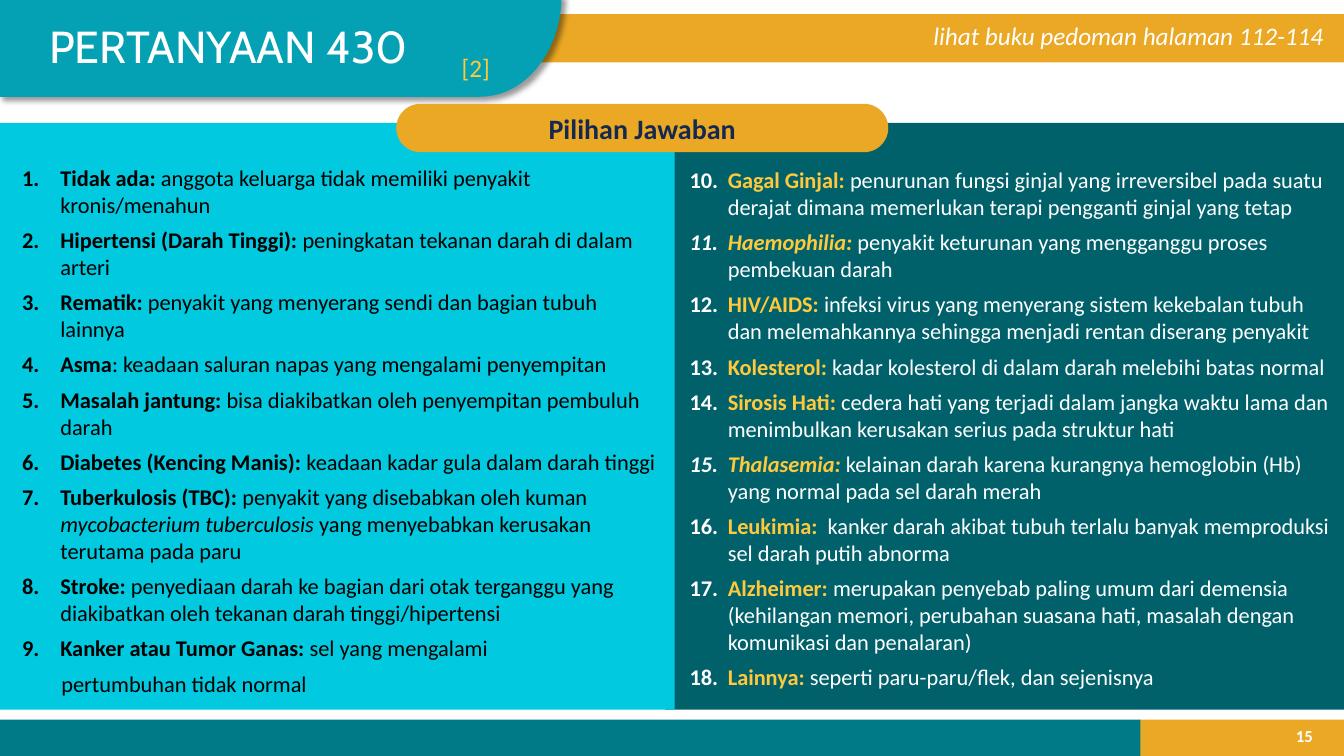
from lxml.etree import SubElement
from pptx import Presentation
from pptx.dml.color import RGBColor
from pptx.enum.shapes import MSO_SHAPE as Preset
from pptx.enum.text import MSO_ANCHOR as Anchor, PP_ALIGN as Align
from pptx.oxml.ns import qn
from pptx.util import Pt

PX = 9144
WIDTH, HEIGHT = 1333, 750
GOLD, YELLOW, WHITE, BLACK = "EAA824", "FFC93C", "FFFFFF", "000000"

LEFT_ANSWERS = [
    [("Tidak ada: ", "b"), ("anggota keluarga tidak memiliki penyakit kronis/menahun", "")],
    [("Hipertensi (Darah Tinggi): ", "b"), ("peningkatan tekanan darah di dalam arteri", "")],
    [("Rematik:", "b"), (" penyakit yang menyerang sendi dan bagian tubuh lainnya", "")],
    [("Asma", "b"), (": keadaan saluran napas yang mengalami penyempitan", "")],
    [("Masalah jantung: ", "b"), ("bisa diakibatkan oleh penyempitan pembuluh darah", "")],
    [("Diabetes (Kencing Manis): ", "b"), ("keadaan kadar gula dalam darah tinggi", "")],
    [("Tuberkulosis (TBC): ", "b"), ("penyakit yang disebabkan oleh kuman ", ""),
     ("mycobacterium tuberculosis", "i"),
     (" yang menyebabkan kerusakan terutama pada paru", "")],
    [("Stroke: ", "b"), ("penyediaan darah ke bagian dari otak terganggu yang "
                         "diakibatkan oleh tekanan darah tinggi/hipertensi", "")],
    [("Kanker atau Tumor Ganas: ", "b"), ("sel yang mengalami", "")],
    [("pertumbuhan tidak normal", "")],
]
RIGHT_ANSWERS = [
    [("Gagal Ginjal: ", "b"), ("penurunan fungsi ginjal yang irreversibel pada suatu "
                               "derajat dimana memerlukan terapi pengganti ginjal yang tetap", "")],
    [("Haemophilia: ", "bi"), ("penyakit keturunan yang mengganggu proses pembekuan darah", "")],
    [("HIV/AIDS: ", "b"), ("infeksi virus yang menyerang sistem kekebalan tubuh dan "
                           "melemahkannya sehingga menjadi rentan diserang penyakit", "")],
    [("Kolesterol: ", "b"), ("kadar kolesterol di dalam darah melebihi batas normal", "")],
    [("Sirosis Hati: ", "b"), ("cedera hati yang terjadi dalam jangka waktu lama dan "
                               "menimbulkan kerusakan serius pada struktur hati", "")],
    [("Thalasemia: ", "bi"), ("kelainan darah karena kurangnya hemoglobin (Hb) yang "
                              "normal pada sel darah merah", "")],
    [("Leukimia:  ", "b"), ("kanker darah akibat tubuh terlalu banyak memproduksi "
                            "sel darah putih abnorma", "")],
    [("Alzheimer: ", "b"), ("merupakan penyebab paling umum dari demensia (kehilangan memori, "
                            "perubahan suasana hati, masalah dengan komunikasi dan penalaran)", "")],
    [("Lainnya: ", "b"), ("seperti paru-paru/flek, dan sejenisnya", "")],
]


def emu(*lengths):
    """Turn px lengths into EMU."""
    return [round(length * PX) for length in lengths]


def paint(target, color):
    """Give a fill or a font colour a solid hex colour."""
    if hasattr(target, "solid"):
        target.solid()
        target = target.fore_color
    else:
        target = target.color
    target.rgb = RGBColor.from_string(color)


def style(font, size, color, marks="", name="Calibri"):
    """Set a font, with marks b for bold and i for italic."""
    font.name, font.size = name, Pt(size)
    font.bold, font.italic = "b" in marks, "i" in marks
    paint(font, color)


def block(slide, box, color, preset=Preset.RECTANGLE):
    """Add a plain filled shape."""
    shape = slide.shapes.add_shape(preset, *emu(*box))
    shape.shadow.inherit = False
    paint(shape.fill, color)
    shape.line.fill.background()
    return shape


def label(slide, box, text, size, color, marks="", name="Calibri", wrap=True):
    """Add a one-line text box and return its frame."""
    frame = slide.shapes.add_textbox(*emu(*box)).text_frame
    frame.word_wrap = wrap
    frame.text = text
    style(frame.paragraphs[0].runs[0].font, size, color, marks, name)
    return frame


def title_tab(slide, box):
    """Draw the shadowed tab with its rounded lower right corner."""
    left, top, width, height = box
    right, bottom = left + width, top + height
    curve = [(right, top), (right, top + 56), (right - 36, bottom), (right - 81, bottom)]
    steps = 32
    corner = []
    for step in range(steps + 1):
        t = step / steps
        weights = ((1 - t) ** 3, 3 * t * (1 - t) ** 2, 3 * t * t * (1 - t), t ** 3)
        corner.append(emu(*(sum(w * point[axis] for w, point in zip(weights, curve))
                            for axis in (0, 1))))
    builder = slide.shapes.build_freeform(*emu(left, top))
    builder.add_line_segments(corner + [emu(left, bottom)], close=True)
    tab = builder.convert_to_shape()
    tab.shadow.inherit = False
    paint(tab.fill, "03A1B3")
    tab.line.fill.background()
    effects = tab.element.spPr.find(qn("a:effectLst"))
    shadow = SubElement(effects, qn("a:outerShdw"), blurRad=str(Pt(4)), dist=str(Pt(3)),
                        dir="2700000", algn="tl", rotWithShape="0")
    shade = SubElement(shadow, qn("a:srgbClr"), val=BLACK)
    SubElement(shade, qn("a:alpha"), val="40000")


def header(slide, box):
    """Place the gold band, the title tab and their texts."""
    left, top, width, height = box
    block(slide, (left + 505, top + 14, width - 505, 48), GOLD)
    title_tab(slide, (left - 1, top - 5, 558, height + 5))
    label(slide, (left + 39, top + 14, 433, 64), "PERTANYAAN 430", 32, WHITE, name="Cabin")
    label(slide, (left + 916, top + 15, 411, 40),
          "lihat buku pedoman halaman 112-114", 18, WHITE, "i")
    label(slide, (left + 448, top + 47, 48, 40), "[2]", 18, YELLOW, wrap=False)


def number(paragraph, start, color):
    """Give a paragraph a hanging automatic number."""
    props = paragraph._p.get_or_add_pPr()
    hang, = emu(38)
    props.set("marL", str(hang))
    props.set("indent", str(-hang))
    bullet_color = SubElement(props, qn("a:buClr"))
    SubElement(bullet_color, qn("a:srgbClr"), val=color)
    SubElement(props, qn("a:buFont"), typeface="+mj-lt")
    numbering = SubElement(props, qn("a:buAutoNum"), type="arabicPeriod")
    if start > 1:
        numbering.set("startAt", str(start))


def answer_panel(slide, box, fill, inset, answers, start, term_color, color):
    """Place a coloured panel with its numbered answers."""
    left, top, width, height = box
    block(slide, box, fill)
    dx, dy, text_width = inset
    frame = slide.shapes.add_textbox(
        *emu(left + dx, top + dy, text_width, height - dy)).text_frame
    frame.word_wrap = True
    for index, answer in enumerate(answers):
        paragraph = frame.paragraphs[0] if index == 0 else frame.add_paragraph()
        paragraph.space_before = Pt(6 if index else 0)
        if len(answer) > 1:
            number(paragraph, start, color)
        else:
            paragraph._p.get_or_add_pPr().set("marL", str(emu(39)[0]))
        for text, marks in answer:
            run = paragraph.add_run()
            run.text = text
            style(run.font, 16, term_color if "b" in marks else color, marks)


def answers_heading(slide, box):
    """Place the gold pill that heads both panels."""
    pill = block(slide, box, GOLD, Preset.ROUNDED_RECTANGLE)
    pill.adjustments[0] = 0.5
    frame = pill.text_frame
    frame.text = "Pilihan Jawaban"
    frame.vertical_anchor = Anchor.MIDDLE
    heading = frame.paragraphs[0]
    heading.alignment = Align.CENTER
    style(heading.runs[0].font, 20, "142850", "b")


def footer(slide, box):
    """Place the two-colour footer and the page number."""
    left, top, width, height = box
    split = 1130
    block(slide, (left + split, top, width - split, height), GOLD)
    block(slide, (left - 1, top, split + 2, height), "017A87")
    page = label(slide, (left + 1265, top - 4, 47, 40), "15", 12, WHITE, "b")
    page.vertical_anchor = Anchor.MIDDLE
    page.paragraphs[0].alignment = Align.RIGHT


def main():
    """Build the slide and save it."""
    deck = Presentation()
    deck.slide_width, deck.slide_height = emu(WIDTH, HEIGHT)
    slide = deck.slides.add_slide(deck.slide_layouts[6])
    header(slide, (0, 0, WIDTH, 96))
    footer(slide, (0, 714, WIDTH, 36))
    answer_panel(slide, (660, 122, 673, 582), "01616B", (14, 38, 659),
                 RIGHT_ANSWERS, 10, YELLOW, WHITE)
    answer_panel(slide, (0, 122, 669, 582), "01C9DF", (12, 36, 655),
                 LEFT_ANSWERS, 1, BLACK, BLACK)
    answers_heading(slide, (393, 103, 488, 48))
    deck.save("out.pptx")


if __name__ == "__main__":
    main()
